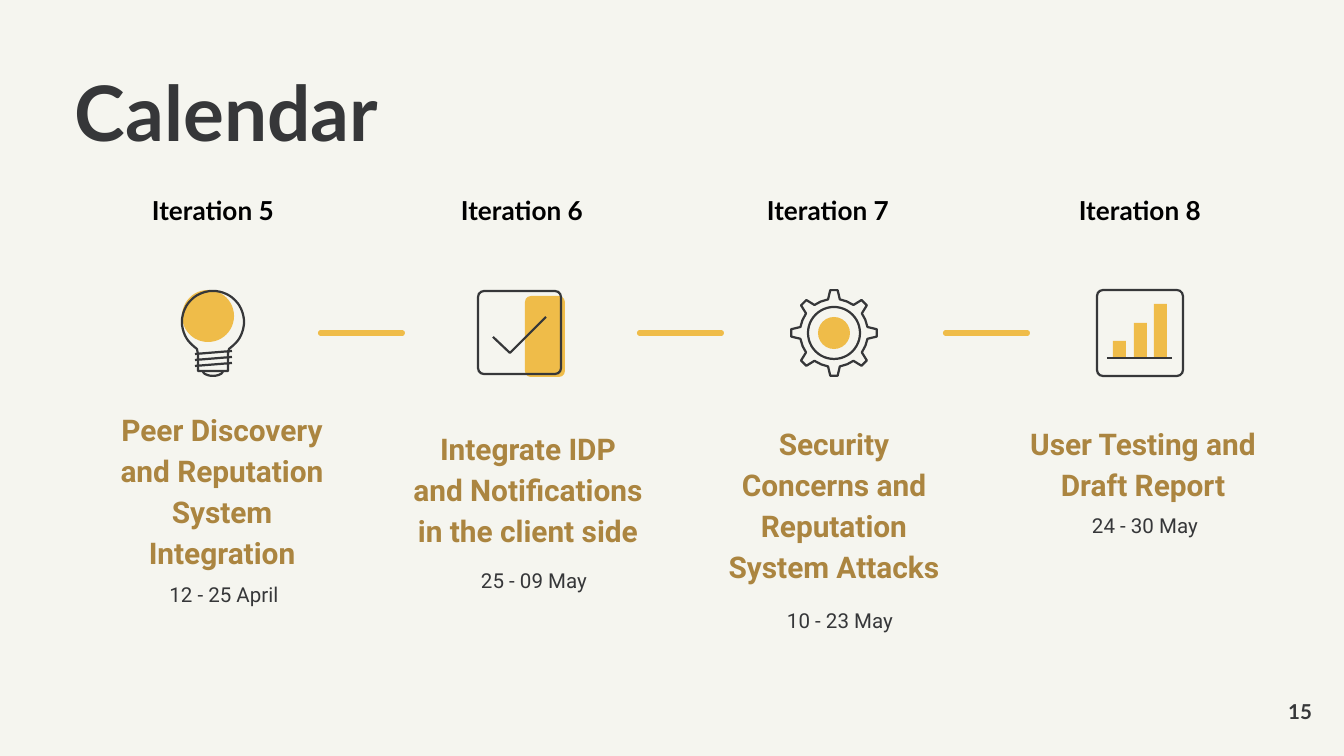
from math import cos, radians, sin

from lxml.etree import SubElement
from pptx import Presentation
from pptx.dml.color import RGBColor
from pptx.enum.shapes import MSO_CONNECTOR, MSO_SHAPE
from pptx.enum.text import MSO_ANCHOR as Anchor, PP_ALIGN as Align
from pptx.oxml.ns import qn
from pptx.util import Emu, Pt

PX = 914400 / 134.4  # EMU in one px
FINE = 10            # freeform points are kept to a tenth of a px

PAPER = RGBColor(0xF5, 0xF5, 0xEF)
INK = RGBColor(0x36, 0x37, 0x39)
BLACK = RGBColor(0, 0, 0)
GOLD = RGBColor(0xEF, 0xBC, 0x49)
BRONZE = RGBColor(0xAB, 0x85, 0x40)

STROKE = Pt(1.2)
INSET = 13
COLUMN_WIDTH = 252

# label, its centre; goal, its centre, bottom and width; dates, their centre and top
ITERATIONS = [
    ("Iteration 5", 213, "Peer Discovery and Reputation System Integration",
     222, 584, COLUMN_WIDTH, "12 - 25 April", 224, 565),
    ("Iteration 6", 522, "Integrate IDP and Notifications in the client side",
     528, 562, 258, "25 - 09 May", 534, 551),
    ("Iteration 7", 828, "Security Concerns and Reputation System Attacks",
     834, 598, COLUMN_WIDTH, "10 - 23 May", 840, 591),
    ("Iteration 8", 1140, "User Testing and Draft Report",
     1143, 516, COLUMN_WIDTH, "24 - 30 May", 1145, 496),
]
DASH_LEFTS = (318, 637, 943)


def px(length):
    return Emu(round(length * PX))


def fill_text(frame, text, font_name, size, color, bold, align, anchor,
              inset=0, spacing=1.0):
    frame.word_wrap = True
    frame.vertical_anchor = anchor
    frame.margin_left = frame.margin_right = px(inset)
    frame.margin_top = frame.margin_bottom = px(inset)
    paragraph = frame.paragraphs[0]
    paragraph.text = text
    paragraph.alignment = align
    paragraph.line_spacing = spacing
    font = paragraph.font
    font.name, font.size, font.bold = font_name, Pt(size), bold
    font.color.rgb = color


def add_text(slide, left, top, width, height, text, *style, **layout):
    box = slide.shapes.add_textbox(px(left), px(top), px(width), px(height))
    fill_text(box.text_frame, text, *style, **layout)


def paint(shape, fill=None, line=None):
    shape.shadow.inherit = False
    if fill is None:
        shape.fill.background()
    else:
        shape.fill.solid()
        shape.fill.fore_color.rgb = fill
    if line is None:
        shape.line.fill.background()
    else:
        shape.line.color.rgb = line
        shape.line.width = STROKE


def add_block(slide, left, top, width, height, fill=None, line=None, radius=0):
    kind = MSO_SHAPE.ROUNDED_RECTANGLE if radius else MSO_SHAPE.RECTANGLE
    block = slide.shapes.add_shape(kind, px(left), px(top), px(width), px(height))
    if radius:
        block.adjustments[0] = radius / min(width, height)
    paint(block, fill, line)


def add_disc(slide, center_x, center_y, radius, fill=None, line=None):
    disc = slide.shapes.add_shape(
        MSO_SHAPE.OVAL, px(center_x - radius), px(center_y - radius),
        px(2 * radius), px(2 * radius))
    paint(disc, fill, line)


def add_outline(slide, points, close=False):
    fine_points = [(round(x * FINE), round(y * FINE)) for x, y in points]
    builder = slide.shapes.build_freeform(*fine_points[0], scale=PX / FINE)
    builder.add_line_segments(fine_points[1:], close=close)
    paint(builder.convert_to_shape(), line=INK)


def add_line(slide, x1, y1, x2, y2):
    line = slide.shapes.add_connector(
        MSO_CONNECTOR.STRAIGHT, px(x1), px(y1), px(x2), px(y2))
    line.line.color.rgb = INK
    line.line.width = STROKE
    SubElement(line.element.spPr, qn("a:effectLst"))


def polar(center_x, center_y, radius_x, radius_y, degrees):
    angle = radians(degrees)
    return center_x + radius_x * cos(angle), center_y + radius_y * sin(angle)


def draw_bulb(slide):
    add_disc(slide, 208, 316, 26, fill=GOLD)
    glass = [polar(213, 322, 31, 31, angle) for angle in range(127, 414, 2)]
    add_outline(slide, [(198, 371), (198, 354), (197, 349), *glass,
                        (229, 349), (228, 354), (228, 371)], close=True)
    add_outline(slide, [polar(213, 371, 10, 5, angle) for angle in range(0, 181, 10)])
    for thread in range(3):
        add_line(slide, 195, 354 + 6 * thread, 232, 351 + 6 * thread)


def draw_checkbox(slide):
    add_block(slide, 525, 296, 40, 81, fill=GOLD, radius=6)
    add_block(slide, 478, 291, 83, 83, line=INK, radius=6)
    add_outline(slide, [(493, 337), (510, 353), (546, 317)])


def draw_gear(slide):
    center = (834, 333)
    tooth = [(34, -10), (43, -5), (43, 5), (34, 10), (34, 22)]
    add_outline(slide, [polar(*center, radius, radius, 45 * index + angle)
                        for index in range(8) for radius, angle in tooth], close=True)
    add_disc(slide, *center, 26, line=INK)
    add_disc(slide, *center, 16, fill=GOLD)


def draw_bars(slide):
    base = 358
    add_block(slide, 1097, 290, 86, 86, line=INK, radius=6)
    for left, top in ((1113, 341), (1134, 323), (1154, 304)):
        add_block(slide, left, top, 13, base - top, fill=GOLD)
    add_line(slide, 1107, base, 1172, base)


def add_iteration(slide, label, label_center, goal, goal_center, goal_bottom,
                  goal_width, dates, dates_center, dates_top):
    goal_height = 216
    add_text(slide, label_center - 77, 181, 154, 59, label,
             "Lato", 14, BLACK, True, Align.CENTER, Anchor.TOP, inset=INSET)
    add_text(slide, goal_center - goal_width // 2, goal_bottom - goal_height,
             goal_width, goal_height, goal,
             "Roboto", 16, BRONZE, True, Align.CENTER, Anchor.BOTTOM,
             inset=INSET, spacing=1.15)
    add_text(slide, dates_center - COLUMN_WIDTH // 2, dates_top, COLUMN_WIDTH, 58, dates,
             "Roboto", 11, INK, False, Align.CENTER, Anchor.TOP,
             inset=INSET, spacing=1.15)


def main():
    deck = Presentation()
    deck.slide_width, deck.slide_height = px(1344), px(756)
    slide = deck.slides.add_slide(deck.slide_layouts[5])
    slide.background.fill.solid()
    slide.background.fill.fore_color.rgb = PAPER

    # Title
    title = slide.shapes.title
    title.left, title.top, title.width, title.height = px(75), px(75), px(953), px(106)
    fill_text(title.text_frame, "Calendar", "Lato", 41, INK, True,
              Align.LEFT, Anchor.TOP, spacing=0.9)

    # Timeline: texts, dashes between them, icons
    for iteration in ITERATIONS:
        add_iteration(slide, *iteration)
    for left in DASH_LEFTS:
        add_block(slide, left, 330, 87, 6, fill=GOLD, radius=3)
    for draw_icon in (draw_bulb, draw_checkbox, draw_gear, draw_bars):
        draw_icon(slide)

    # Page number
    add_text(slide, 1231, 698, 81, 27, "15",
             "Lato", 11, INK, True, Align.RIGHT, Anchor.MIDDLE)

    deck.save("out.pptx")


if __name__ == "__main__":
    main()
